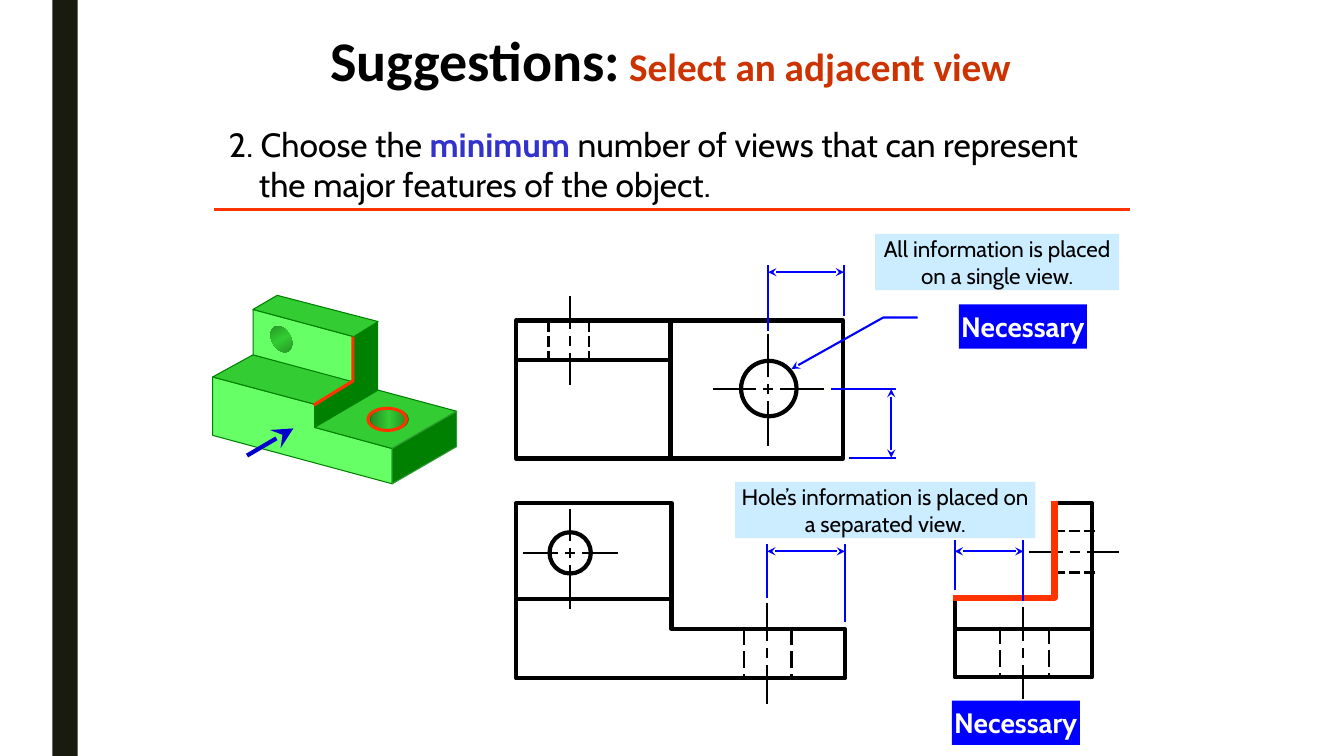
from copy import deepcopy

from pptx import Presentation
from pptx.dml.color import RGBColor
from pptx.enum.dml import MSO_LINE
from pptx.enum.shapes import MSO_CONNECTOR, MSO_SHAPE
from pptx.enum.text import MSO_ANCHOR, PP_ALIGN
from pptx.oxml.ns import qn
from pptx.util import Inches, Pt

RECTANGLE, OVAL, STRAIGHT = MSO_SHAPE.RECTANGLE, MSO_SHAPE.OVAL, MSO_CONNECTOR.STRAIGHT
LONG_DASH, MIDDLE = MSO_LINE.LONG_DASH, MSO_ANCHOR.MIDDLE
CENTER, LEFT = PP_ALIGN.CENTER, PP_ALIGN.LEFT
COLUMNS, ROWS, CELL = 13.33, 7.5, Inches(1)  # a grid of square cells


class Theme:
    black, white, stripe, note = "000000", "FFFFFF", "191B0E", "CCECFF"
    subtitle, emphasis, highlight = "CC3300", "3333CC", "FF3300"
    dimension, arrow = "0000FF", "0000CC"
    face_light, face, face_dark, face_edge, hole = "66FF66", "33CC33", "008000", "339933", "228722"
    title_font, body_font = "Calibri", "Cabin"
    title_size, subtitle_size, body_size, label_size, note_size = 40, 28, 24, 20, 16
    edge, thin, accent, outline, heavy = 0.75, 1.5, 2.25, 3, 4.5


T = Theme


def grid(*cells):
    return [round(cell * CELL) for cell in cells]


def rgb(value):
    return RGBColor.from_string(value)


def paint(shape, fill=None, stroke=None, width=T.outline):
    shape.shadow.inherit = False
    if fill:
        shape.fill.solid()
        shape.fill.fore_color.rgb = rgb(fill)
    else:
        shape.fill.background()
    if stroke:
        shape.line.color.rgb, shape.line.width = rgb(stroke), Pt(width)
    else:
        shape.line.fill.background()
    return shape


def add_arrowheads(shape, ends, size="med"):
    """Put stealth arrowheads on the given ends, headEnd before tailEnd."""
    ln = shape._element.spPr.find(qn("a:ln"))
    for end in ends:
        ln.append(ln.makeelement(qn(f"a:{end}"), {"type": "stealth", "w": size, "len": size}))


def line(shapes, start, end, color=T.black, width=T.thin, dash=None):
    connector = shapes.add_connector(STRAIGHT, *grid(*start, *end))
    connector.line.color.rgb, connector.line.width = rgb(color), Pt(width)
    if dash:
        connector.line.dash_style = dash
    properties = connector._element.spPr
    properties.append(properties.makeelement(qn("a:effectLst"), {}))
    return connector


def path(shapes, points, fill=None, stroke=T.black, width=T.outline, close=False):
    start, *others = [grid(*point) for point in points]
    builder = shapes.build_freeform(*start, scale=1.0)
    builder.add_line_segments(others, close=close)
    return paint(builder.convert_to_shape(), fill, stroke, width)


def preset(shapes, kind, box, **look):
    return paint(shapes.add_shape(kind, *grid(*box)), **look)


def axis_line(shapes, at, start, center, end, vertical=True):
    """Draw a centre line: long, short around the centre, long."""
    for a, b in ((start, center - .12), (center - .05, center + .05), (center + .12, end)):
        line(shapes, *(((at, a), (at, b)) if vertical else ((a, at), (b, at))))


def hidden_edge(shapes, x, y, dx, dy):
    """Draw three dashes along the direction dx, dy."""
    for a in (0, .15, .3):
        b = a + .11
        line(shapes, (x + dx * a, y + dy * a), (x + dx * b, y + dy * b))


def dimension(slide, arrow, *extensions):
    shapes = slide.shapes.add_group_shape().shapes
    for start, end in extensions:
        line(shapes, start, end, T.dimension)
    add_arrowheads(line(shapes, *arrow, T.dimension), ("headEnd", "tailEnd"))


def write(paragraph, runs, font, size, color=T.black, bold=None, align=CENTER):
    """Write (text, own color, own size) runs; a coloured run is bold, and "\\n" breaks the line."""
    paragraph.alignment = align
    paragraph.font.name, paragraph.font.size = font, Pt(size)
    paragraph.font.color.rgb, paragraph.font.bold = rgb(color), bold
    for text, own_color, own_size in runs:
        if text == "\n":
            paragraph.add_line_break()
            continue
        run = paragraph.add_run()
        run.text = text
        if own_color:
            run.font.color.rgb, run.font.bold = rgb(own_color), True
        if own_size:
            run.font.size = Pt(own_size)


def text_box(slide, box):
    frame = slide.shapes.add_textbox(*grid(*box)).text_frame
    frame.word_wrap = True
    return frame.paragraphs[0]


def label(slide, box, lines, fill, size, color=T.black, bold=None, wrap=True):
    frame = preset(slide.shapes, RECTANGLE, box, fill=fill).text_frame
    frame.word_wrap, frame.vertical_anchor = wrap, MIDDLE
    frame.margin_left = frame.margin_right = Inches(.02)
    frame.margin_top = frame.margin_bottom = Inches(.01)
    for i, text in enumerate(lines):
        paragraph = frame.add_paragraph() if i else frame.paragraphs[0]
        write(paragraph, [(text, None, None)], T.body_font, size, color, bold)


def shaded_hole(shapes, box, rotation=0, **look):
    hole = preset(shapes, OVAL, box, **look)
    hole.rotation = rotation
    hole.fill.gradient()
    hole.fill.gradient_angle = 0
    stops = hole._element.spPr.find(qn("a:gradFill")).find(qn("a:gsLst"))
    stops.insert(1, deepcopy(stops[0]))
    for i, (stop, color) in enumerate(zip(hole.fill.gradient_stops, (T.hole, T.face, T.hole))):
        stop.color.rgb, stop.position = rgb(color), i / 2


def headings(slide):
    write(text_box(slide, (1.65, .2, 10, .77)),
          [("Suggestions:", T.black, T.title_size), (" ", None, None),
           ("Select an adjacent view", T.subtitle, None)], T.title_font, T.subtitle_size)
    advice = text_box(slide, (2.17, 1.18, 9.26, .91))
    hanging = advice._p.get_or_add_pPr()
    hanging.set("marL", str(Inches(.3)))
    hanging.set("indent", str(-Inches(.3)))
    write(advice, [("2. Choose the ", None, None), ("minimum", T.emphasis, None),
                   (" number of views that can represent", None, None), ("\n", None, None),
                   ("the major features of the object.", None, None)],
          T.body_font, T.body_size, align=LEFT)
    line(slide.shapes, (2.12, 2.08), (11.21, 2.08), T.highlight, T.accent)


def front_view(slide, shapes):
    preset(shapes, OVAL, (5.45, 5.28, .41, .41), stroke=T.black)
    path(shapes, [(5.12, 4.99), (5.12, 6.73), (8.38, 6.73), (8.38, 6.24), (6.66, 6.24), (6.66, 4.99)],
         close=True)
    line(shapes, (5.12, 5.94), (6.66, 5.94), width=T.outline)
    for x in (7.38, 7.85):
        line(shapes, (x, 6.23), (x, 6.72), dash=LONG_DASH)
    axis_line(shapes, 7.61, 5.98, 6.48, 6.98)
    axis_line(shapes, 5.65, 5.05, 5.49, 6.04)
    axis_line(shapes, 5.49, 5.19, 5.65, 6.13, vertical=False)


def side_view(slide, shapes):
    line(shapes, (9.46, 6.24), (10.83, 6.24), width=T.outline)
    for x in (9.92, 10.4):
        line(shapes, (x, 6.22), (x, 6.71), dash=LONG_DASH)
    axis_line(shapes, 10.15, 6.02, 6.48, 6.93)
    path(shapes, [(10.46, 4.99), (10.46, 5.93), (9.47, 5.93), (9.47, 6.72), (10.83, 6.72), (10.83, 4.99)],
         close=True)
    for y in (5.27, 5.68):
        hidden_edge(shapes, 10.86, y, -1, 0)
    axis_line(shapes, 5.48, 10.21, 10.66, 11.1, vertical=False)
    path(slide.shapes, [(9.45, 5.93), (10.46, 5.93), (10.46, 4.97)], stroke=T.highlight, width=T.heavy)


def top_view(slide, shapes):
    line(shapes, (5.12, 3.57), (6.65, 3.57), width=T.outline)
    path(shapes, [(5.12, 4.55), (5.12, 3.18), (8.36, 3.18), (8.36, 4.55)], close=True)
    line(shapes, (6.65, 3.18), (6.65, 4.55), width=T.outline)
    for x in (5.44, 5.84):
        hidden_edge(shapes, x, 3.18, 0, 1)
    axis_line(shapes, 5.65, 2.94, 3.38, 3.82)
    axis_line(shapes, 7.62, 3.31, 3.86, 4.42)
    axis_line(shapes, 3.86, 7.07, 7.62, 8.17, vertical=False)
    preset(shapes, OVAL, (7.35, 3.58, .55, .55), stroke=T.black)


def solid_block(slide, shapes):
    for fill, stroke, corners in (
            (T.face_dark, None, [(3.12, 4.25), (3.12, 4.01), (3.51, 3.78), (3.51, 3.33), (3.75, 3.19), (3.75, 3.87)]),
            (T.face_light, T.face_dark,
             [(3.89, 4.8), (2.11, 4.32), (2.11, 3.74), (3.12, 4.01), (3.12, 4.24), (3.89, 4.45)]),
            (T.face, T.face_dark, [(2.11, 3.74), (2.51, 3.52), (3.51, 3.78), (3.12, 4.01)]),
            (T.face_light, T.face_dark, [(3.51, 3.79), (2.51, 3.52), (2.51, 3.07), (3.51, 3.34)]),
            (T.face, T.face_dark, [(3.12, 4.24), (3.89, 4.45), (4.53, 4.08), (3.75, 3.87)]),
            (T.face_dark, T.face_edge, [(3.89, 4.45), (3.89, 4.8), (4.53, 4.43), (4.53, 4.08)]),
            (T.face, T.face_dark, [(3.75, 3.19), (2.75, 2.93), (2.51, 3.07), (3.51, 3.34)])):
        path(shapes, corners, fill, stroke, T.edge, close=True)
    add_arrowheads(line(shapes, (2.45, 4.52), (2.91, 4.25), T.arrow, T.outline), ["tailEnd"], "lg")
    shaded_hole(shapes, (2.65, 3.27, .28, .19), rotation=60)
    shaded_hole(shapes, (3.67, 4.05, .38, .22), stroke=T.face_dark, width=T.edge)
    path(slide.shapes, [(3.5, 3.34), (3.5, 3.78), (3.11, 4.02)], stroke=T.highlight, width=T.accent)
    preset(slide.shapes, OVAL, (3.65, 4.05, .38, .22), stroke=T.highlight, width=T.accent)


def dimensions(slide):
    dimension(slide, ((8.84, 4.54), (8.84, 3.86)), ((8.24, 3.86), (8.89, 3.86)), ((8.42, 4.54), (8.89, 4.54)))
    for left, right, y, top, left_foot, right_foot in (
            (7.62, 8.37, 2.7, 2.63, 3.28, 3.14), (7.61, 8.38, 5.47, 5.4, 5.93, 6.17),
            (9.47, 10.15, 5.47, 5.36, 5.85, 5.96)):
        dimension(slide, ((left, y), (right, y)),
                  ((left, left_foot), (left, top)), ((right, right_foot), (right, top)))
    leader = path(slide.shapes, [(7.85, 3.66), (8.76, 3.15), (9.1, 3.15)], stroke=T.dimension, width=T.thin)
    add_arrowheads(leader, ["headEnd"])


def labels(slide):
    for left, top in ((9.51, 3.02), (9.44, 6.95)):
        label(slide, (left, top, 1.27, .44), ["Necessary"], T.dimension, T.label_size, T.white, True, False)
    for box, lines in (((7.29, 4.78, 2.98, .56), ["Hole’s information is placed on a separated view."]),
                       ((8.68, 2.32, 2.42, .56), ["All information is placed", "on a single view."])):
        label(slide, box, lines, T.note, T.note_size)


def main():
    deck = Presentation()
    deck.slide_width, deck.slide_height = grid(COLUMNS, ROWS)
    slide = deck.slides.add_slide(deck.slide_layouts[6])
    preset(slide.shapes, RECTANGLE, (.52, 0, .25, ROWS), fill=T.stripe)
    headings(slide)
    for view in (front_view, side_view, top_view, solid_block):
        view(slide, slide.shapes.add_group_shape().shapes)
    dimensions(slide)
    labels(slide)
    deck.save("out.pptx")


if __name__ == "__main__":
    main()
